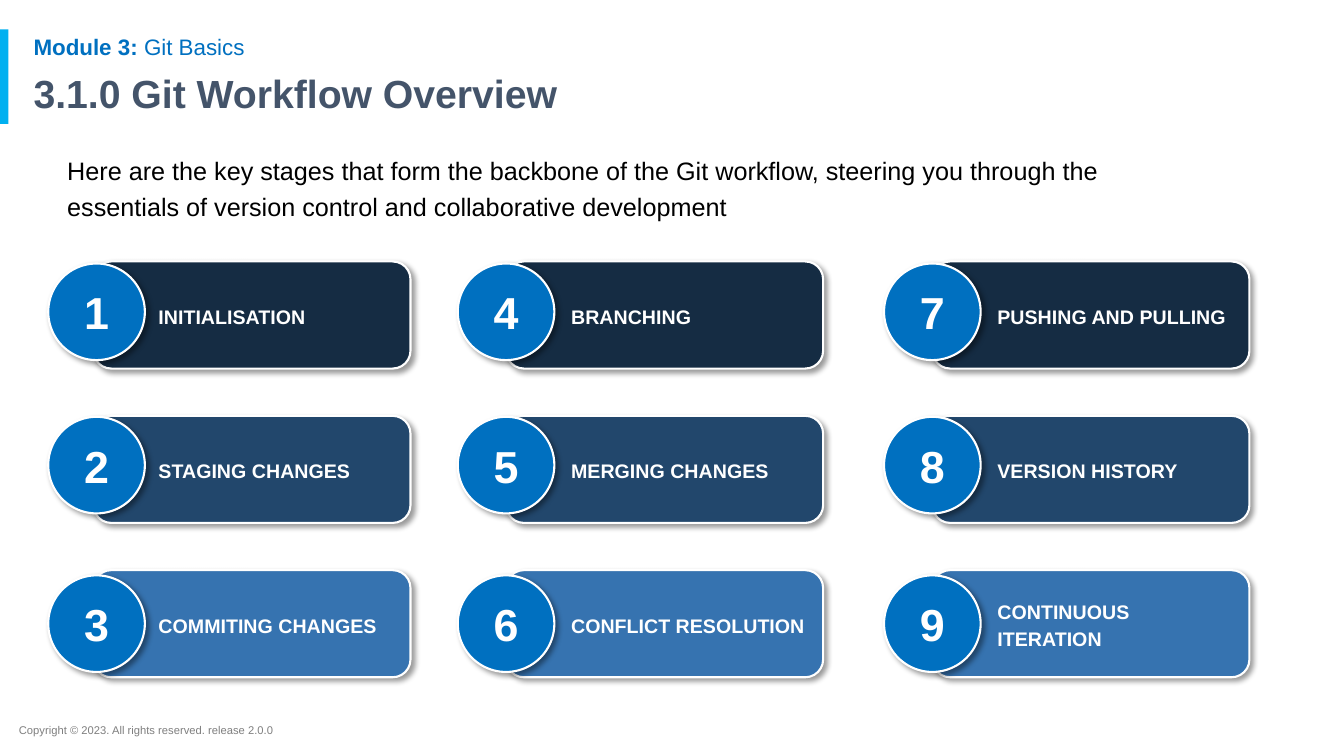
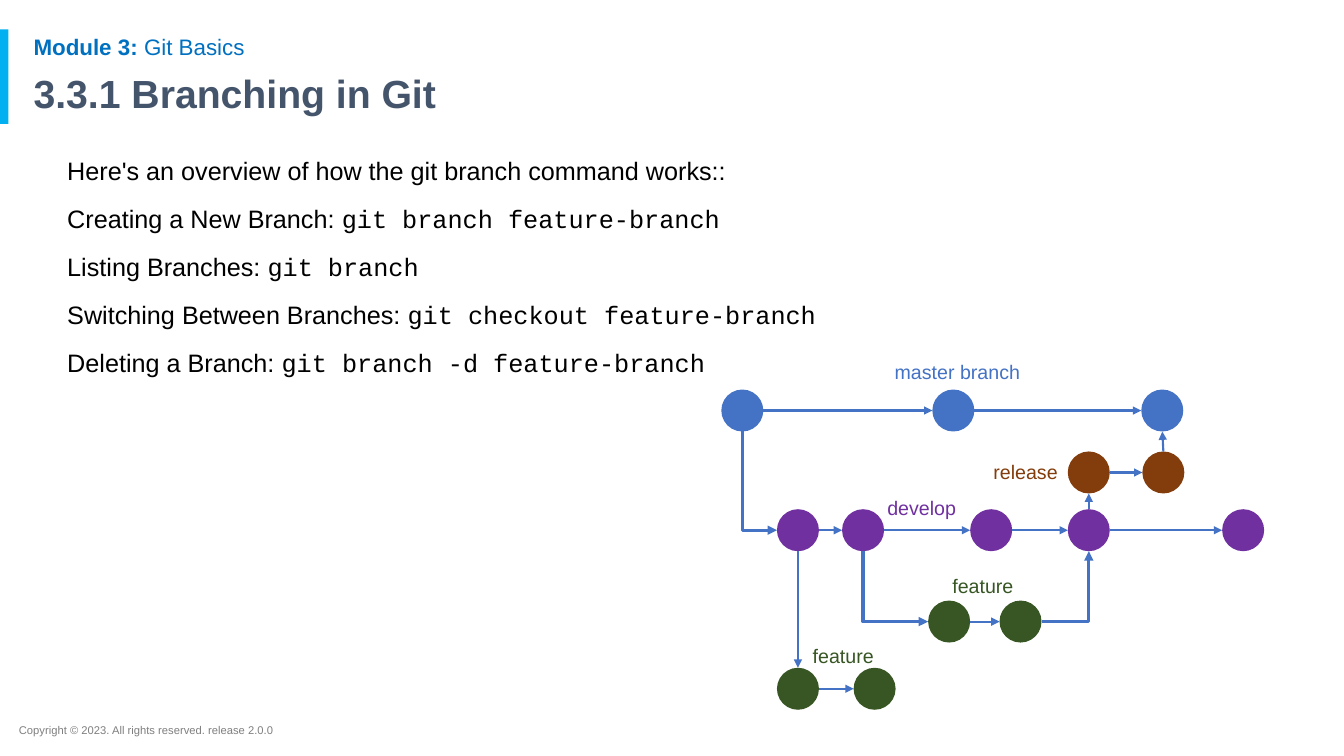
"""Build two Git training slides: the workflow stages and the branching diagram."""
import enum
import typing

import lxml.etree
import pptx
import pptx.dml.color
import pptx.enum.shapes
import pptx.enum.text
import pptx.oxml.ns
import pptx.util

PX = 9525
SHAPES = pptx.enum.shapes.MSO_SHAPE
ALIGN = pptx.enum.text.PP_ALIGN
ANCHOR = pptx.enum.text.MSO_ANCHOR
qn = pptx.oxml.ns.qn

SANS, MONO = "Arial", "Courier New"
ACCENT, BLUE, SLATE, GREY = "00B0F0", "0070C0", "44546A", "7F7F7F"
WHITE, BLACK = "FFFFFF", "000000"
MASTER, RELEASE, DEVELOP, FEATURE = "4472C4", "833C0B", "7030A0", "375623"
DOT = 40


class Box(typing.NamedTuple):
    left: int
    top: int
    width: int
    height: int


class Run(typing.NamedTuple):
    text: str
    size: int
    colour: str
    bold: bool = False
    font: str = SANS


class Row(typing.NamedTuple):
    card_top: int
    badge_top: int
    colour: str


class Column(typing.NamedTuple):
    card_left: int
    badge_left: int
    stages: tuple[str, ...]


class Branch(typing.NamedTuple):
    key: str
    label: str
    colour: str
    top: int
    lefts: tuple[int, ...]
    label_left: int
    label_top: int


class Side(enum.Enum):
    TOP = (0, DOT // 2, 0)
    LEFT = (2, 0, DOT // 2)
    BOTTOM = (4, DOT // 2, DOT)
    RIGHT = (6, DOT, DOT // 2)


class Step(typing.NamedTuple):
    source: str
    target: str
    leave: Side = Side.RIGHT
    arrive: Side = Side.LEFT


ROWS = (Row(249, 251, "152C43"), Row(396, 397, "22476C"), Row(543, 548, "3673B0"))
COLUMNS = (
    Column(89, 46, ("INITIALISATION", "STAGING CHANGES", "COMMITING CHANGES")),
    Column(482, 436, ("BRANCHING", "MERGING CHANGES", "CONFLICT RESOLUTION")),
    Column(888, 842, ("PUSHING AND PULLING", "VERSION HISTORY", "CONTINUOUS ITERATION")),
)
INTRO = (
    "Here are the key stages that form the backbone of the Git workflow, steering you "
    "through the essentials of version control and collaborative development"
)
COMMANDS = (
    ("Here's an overview of how the git branch command works::", ""),
    ("Creating a New Branch: ", "git branch feature-branch"),
    ("Listing Branches: ", "git branch"),
    ("Switching Between Branches: ", "git checkout feature-branch"),
    ("Deleting a Branch: ", "git branch -d feature-branch"),
)
BRANCHES = (
    Branch("m", "master branch", MASTER, 371, (687, 888, 1087), 842, 338),
    Branch("r", "release", RELEASE, 430, (1017, 1088), 936, 433),
    Branch("d", "develop", DEVELOP, 485, (740, 802, 924, 1017, 1164), 835, 467),
    Branch("f", "feature", FEATURE, 572, (884, 952), 897, 542),
    Branch("g", "feature", FEATURE, 636, (740, 813), 764, 608),
)
STEPS = (
    Step("m1", "m2"), Step("m2", "m3"), Step("r1", "r2"),
    Step("d1", "d2"), Step("d2", "d3"), Step("d3", "d4"), Step("d4", "d5"),
    Step("f1", "f2"), Step("g1", "g2"),
    Step("r2", "m3", Side.TOP, Side.BOTTOM),
    Step("d4", "r1", Side.TOP, Side.BOTTOM),
    Step("d1", "g1", Side.BOTTOM, Side.TOP),
    Step("m1", "d1", Side.BOTTOM, Side.LEFT),
    Step("d2", "f1", Side.BOTTOM, Side.LEFT),
    Step("f2", "d4", Side.RIGHT, Side.BOTTOM),
)


def rgb(colour: str) -> pptx.dml.color.RGBColor:
    """Turn a hex string into a colour."""
    return pptx.dml.color.RGBColor.from_string(colour)


def apply(target: typing.Any, values: dict[str, typing.Any]) -> None:
    """Set every format value on the target."""
    for name, value in values.items():
        setattr(target, name, value)


def emu(lengths: typing.Iterable[int]) -> list[int]:
    """Scale px lengths to EMU."""
    return [length * PX for length in lengths]


def write(shape: typing.Any, paragraphs: typing.Sequence[typing.Sequence[Run]],
          spacing: float = 1.0, before: float = 0, inset: int = 10,
          align: typing.Any = ALIGN.LEFT, anchor: typing.Any = ANCHOR.TOP) -> None:
    """Fill the shape with formatted paragraphs."""
    frame = shape.text_frame
    apply(frame, {
        "word_wrap": True, "vertical_anchor": anchor,
        "margin_left": inset * PX, "margin_right": 10 * PX,
        "margin_top": 5 * PX, "margin_bottom": 5 * PX,
    })
    for number, runs in enumerate(paragraphs):
        paragraph = frame.add_paragraph() if number else frame.paragraphs[0]
        apply(paragraph, {
            "alignment": align, "line_spacing": spacing,
            "space_before": pptx.util.Pt(before if number else 0),
        })
        for item in runs:
            run = paragraph.add_run()
            run.text = item.text
            apply(run.font, {"name": item.font, "size": pptx.util.Pt(item.size), "bold": item.bold})
            run.font.color.rgb = rgb(item.colour)


def add_text(slide: typing.Any, box: Box, paragraphs: typing.Sequence[typing.Sequence[Run]],
             **layout: typing.Any) -> None:
    """Add a text box."""
    write(slide.shapes.add_textbox(*emu(box)), paragraphs, **layout)


def add_solid(slide: typing.Any, kind: typing.Any, box: Box, colour: str) -> typing.Any:
    """Add a flat shape without outline or shadow."""
    shape = slide.shapes.add_shape(kind, *emu(box))
    shape.shadow.inherit = False
    shape.fill.solid()
    shape.fill.fore_color.rgb = rgb(colour)
    shape.line.fill.background()
    return shape


def add_raised(slide: typing.Any, kind: typing.Any, box: Box, colour: str) -> typing.Any:
    """Add a shape with a white outline and a soft shadow."""
    shape = add_solid(slide, kind, box, colour)
    shape.line.color.rgb = rgb(WHITE)
    shape.line.width = pptx.util.Pt(1.5)
    effects = shape.element.spPr.find(qn("a:effectLst"))
    shadow = lxml.etree.SubElement(effects, qn("a:outerShdw"), {
        "blurRad": str(pptx.util.Pt(4)), "dist": str(pptx.util.Pt(3)),
        "dir": "2700000", "algn": "tl", "rotWithShape": "0",
    })
    tint = lxml.etree.SubElement(shadow, qn("a:srgbClr"), {"val": BLACK})
    lxml.etree.SubElement(tint, qn("a:alpha"), {"val": "40000"})
    return shape


def add_titled_slide(deck: typing.Any, title: str) -> typing.Any:
    """Add a slide with the shared accent, module line, title and footer."""
    slide = deck.slides.add_slide(deck.slide_layouts[6])
    add_solid(slide, SHAPES.RECTANGLE, Box(0, 28, 8, 90), ACCENT)
    add_text(slide, Box(8, 684, 684, 23),
             [[Run("Copyright © 2023. All rights reserved. release 2.0.0", 8, GREY)]])
    add_text(slide, Box(22, 29, 1104, 32),
             [[Run("Module 3: ", 16, BLUE, True), Run("Git Basics", 16, BLUE)]], spacing=0.9)
    add_text(slide, Box(22, 66, 1104, 52), [[Run(title, 28, SLATE, True)]], spacing=0.9)
    return slide


def add_body(slide: typing.Any, paragraphs: typing.Sequence[typing.Sequence[Run]]) -> None:
    """Add the body text below the title."""
    add_text(slide, Box(54, 137, 1079, 508), paragraphs, spacing=1.2, before=8.4)


def add_step(slide: typing.Any, step: Step, commits: dict[str, typing.Any]) -> None:
    """Join two commits with a straight or bent arrow."""
    ends = [(commits[step.source], step.leave), (commits[step.target], step.arrive)]
    vertical = (Side.TOP, Side.BOTTOM)
    bent = (step.leave in vertical) != (step.arrive in vertical)
    turned = bent and step.leave in vertical
    if turned:
        ends.reverse()
    points = []
    for commit, side in ends:
        _, across, down = side.value
        points += [commit.left + across * PX, commit.top + down * PX]
    kinds = pptx.enum.shapes.MSO_CONNECTOR
    arrow = slide.shapes.add_connector(kinds.ELBOW if bent else kinds.STRAIGHT, *points)
    arrow.line.color.rgb = rgb(MASTER)
    arrow.line.width = pptx.util.Pt(2.25 if bent else 1.5)
    properties = arrow.element.spPr
    if bent:
        properties.find(qn("a:prstGeom")).set("prst", "bentConnector2")
    lxml.etree.SubElement(properties.find(qn("a:ln")),
                          qn("a:headEnd" if turned else "a:tailEnd"), {"type": "triangle"})
    lxml.etree.SubElement(properties, qn("a:effectLst"))
    links = arrow.element.find(".//" + qn("p:cNvCxnSpPr"))
    for tag, (commit, side) in zip(("a:stCxn", "a:endCxn"), ends):
        lxml.etree.SubElement(links, qn(tag),
                              {"id": str(commit.shape_id), "idx": str(side.value[0])})


def build_workflow(deck: typing.Any) -> None:
    """Draw the nine numbered workflow stages."""
    slide = add_titled_slide(deck, "3.1.0 Git Workflow Overview")
    add_body(slide, [[Run(INTRO, 18, BLACK)]])
    number = 0
    for column in COLUMNS:
        for row, stage in zip(ROWS, column.stages):
            number += 1
            card = add_raised(slide, SHAPES.ROUNDED_RECTANGLE,
                              Box(column.card_left, row.card_top, 302, 102), row.colour)
            write(card, [[Run(stage, 14, WHITE, True)]], spacing=1.15, inset=57,
                  anchor=ANCHOR.MIDDLE)
            badge = add_raised(slide, SHAPES.OVAL,
                               Box(column.badge_left, row.badge_top, 92, 92), BLUE)
            write(badge, [[Run(str(number), 32, WHITE, True)]], align=ALIGN.CENTER,
                  anchor=ANCHOR.MIDDLE)


def build_branching(deck: typing.Any) -> None:
    """Draw the branch commands and the commit diagram."""
    slide = add_titled_slide(deck, "3.3.1 Branching in Git")
    add_body(slide, [
        [Run(purpose, 18, BLACK)] + ([Run(command, 18, BLACK, font=MONO)] if command else [])
        for purpose, command in COMMANDS
    ])
    commits = {}
    for branch in BRANCHES:
        for number, left in enumerate(branch.lefts, 1):
            commits[f"{branch.key}{number}"] = add_solid(
                slide, SHAPES.OVAL, Box(left, branch.top, DOT, DOT), branch.colour)
    for step in STEPS:
        add_step(slide, step, commits)
    for branch in BRANCHES:
        add_text(slide, Box(branch.label_left, branch.label_top, 150, 32),
                 [[Run(branch.label, 14, branch.colour)]])


def main() -> None:
    """Build and save the deck."""
    deck = pptx.Presentation()
    apply(deck, {"slide_width": 1280 * PX, "slide_height": 720 * PX})
    build_workflow(deck)
    build_branching(deck)
    deck.save("out.pptx")


if __name__ == "__main__":
    main()
